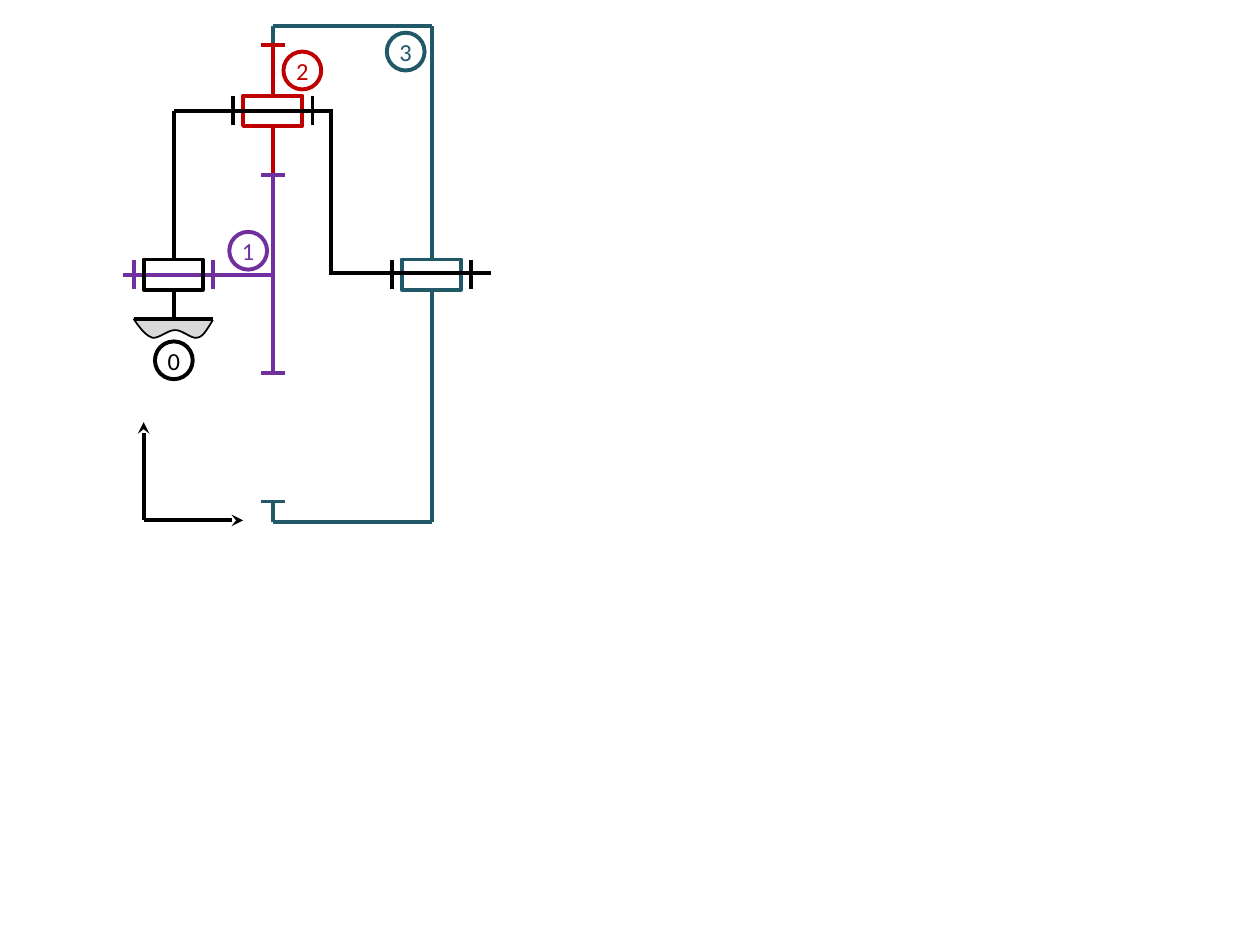
"""Build a slide with the kinematic diagram of a planetary gear train."""
import lxml.etree
import pptx
import pptx.dml.color
import pptx.enum.shapes
import pptx.enum.text
import pptx.oxml.ns
import pptx.util

Inches = pptx.util.Inches
Pt = pptx.util.Pt
qn = pptx.oxml.ns.qn
RGBColor = pptx.dml.color.RGBColor
SHAPE = pptx.enum.shapes.MSO_SHAPE
BLACK = RGBColor(0x00, 0x00, 0x00)
GREY = RGBColor(0xD9, 0xD9, 0xD9)
PURPLE = RGBColor(0x70, 0x30, 0xA0)
RED = RGBColor(0xC0, 0x00, 0x00)
TEAL = RGBColor(0x21, 0x59, 0x68)

prs = pptx.Presentation()
prs.slide_width, prs.slide_height = Inches(10), Inches(7.5)
s = prs.slides.add_slide(prs.slide_layouts[6])


def add_line(x1, y1, x2, y2, color):
    line = s.shapes.add_connector(
        pptx.enum.shapes.MSO_CONNECTOR.STRAIGHT,
        Inches(x1), Inches(y1), Inches(x2), Inches(y2))
    line.line.color.rgb = color
    line.line.width = Pt(2.25)
    lxml.etree.SubElement(line._element.spPr, qn("a:effectLst"))
    return line


def add_outline(kind, x, y, w, h, color):
    sp = s.shapes.add_shape(kind, Inches(x), Inches(y), Inches(w), Inches(h))
    sp.shadow.inherit = False
    sp.fill.background()
    sp.line.color.rgb = color
    sp.line.width = Pt(2.25)
    return sp


ground_curves = [
    [(1.06, 2.53), (1.11, 2.6), (1.15, 2.66), (1.21, 2.68)],
    [(1.21, 2.68), (1.26, 2.69), (1.33, 2.62), (1.39, 2.62)],
    [(1.39, 2.62), (1.45, 2.62), (1.52, 2.69), (1.56, 2.68)],
    [(1.56, 2.68), (1.61, 2.68), (1.64, 2.62), (1.69, 2.54)],
]
steps = 10
points = []
for curve in ground_curves:
    for i in range(1, steps + 1):
        t = i / steps
        weights = ((1 - t) ** 3, 3 * t * (1 - t) ** 2, 3 * t ** 2 * (1 - t), t ** 3)
        points.append([Inches(sum(w * p[axis] for w, p in zip(weights, curve)))
                       for axis in (0, 1)])
builder = s.shapes.build_freeform(Inches(1.06), Inches(2.53))
builder.add_line_segments(points, close=False)
ground = builder.convert_to_shape()
ground.shadow.inherit = False
ground.fill.solid()
ground.fill.fore_color.rgb = GREY
ground.line.color.rgb = BLACK
ground.line.width = Pt(1)

gear_lines = [
    (TEAL, [(2.17, 0.21, 2.17, 0.36), (3.43, 0.21, 2.17, 0.21),
            (3.43, 0.21, 3.43, 2.06), (3.43, 2.29, 3.43, 4.14),
            (3.43, 4.14, 2.17, 4.14), (2.17, 3.98, 2.17, 4.14)]),
    (RED, [(2.17, 0.36, 2.17, 0.76), (2.17, 0.99, 2.17, 1.39)]),
    (PURPLE, [(0.98, 2.18, 2.17, 2.18), (2.17, 1.39, 2.17, 2.96)]),
]
for color, lines in gear_lines:
    for ends in lines:
        add_line(*ends, color)

for y, color in [(0.36, RED), (1.39, PURPLE), (2.96, PURPLE), (3.98, TEAL)]:
    add_line(2.07, y, 2.26, y, color)

bearings = [(1.14, 2.06, BLACK, PURPLE), (1.93, 0.76, RED, BLACK),
            (3.19, 2.06, TEAL, BLACK)]
for x, y, color, stop_color in bearings:
    add_outline(SHAPE.RECTANGLE, x, y, 0.47, 0.24, color)
    for stop_x in (x - 0.08, x + 0.55):
        add_line(stop_x, y, stop_x, y + 0.23, stop_color)

carrier_lines = [
    (1.38, 2.29, 1.38, 2.53), (1.06, 2.53, 1.69, 2.53), (1.38, 2.06, 1.38, 0.88),
    (1.38, 0.88, 2.64, 0.88), (2.63, 0.88, 2.63, 2.18), (2.64, 2.17, 3.9, 2.17),
]
for ends in carrier_lines:
    add_line(*ends, BLACK)

for x, y in [(1.93, 4.13), (1.14, 3.35)]:
    axis_line = add_line(1.14, 4.13, x, y, BLACK)
    lxml.etree.SubElement(axis_line.line._get_or_add_ln(), qn("a:tailEnd"), type="stealth")

labels = [("1", 1.82, 1.84, PURPLE), ("2", 2.25, 0.41, RED),
          ("3", 3.07, 0.26, TEAL), ("0", 1.23, 2.71, BLACK)]
for text, x, y, color in labels:
    sp = add_outline(SHAPE.OVAL, x, y, 0.3, 0.3, color)
    tf = sp.text_frame
    tf.margin_left = tf.margin_right = tf.margin_top = tf.margin_bottom = 0
    tf.vertical_anchor = pptx.enum.text.MSO_ANCHOR.MIDDLE
    p = tf.paragraphs[0]
    p.alignment = pptx.enum.text.PP_ALIGN.CENTER
    p.font.name = "Calibri"
    p.font.size = Pt(14)
    p.font.color.rgb = color
    r = p.add_run()
    r.text = text
    ln = lxml.etree.SubElement(r._r.get_or_add_rPr(), qn("a:ln"), w=str(Pt(0.75)))
    fill = lxml.etree.SubElement(ln, qn("a:solidFill"))
    lxml.etree.SubElement(fill, qn("a:srgbClr"), val=str(color))

prs.save("out.pptx")
